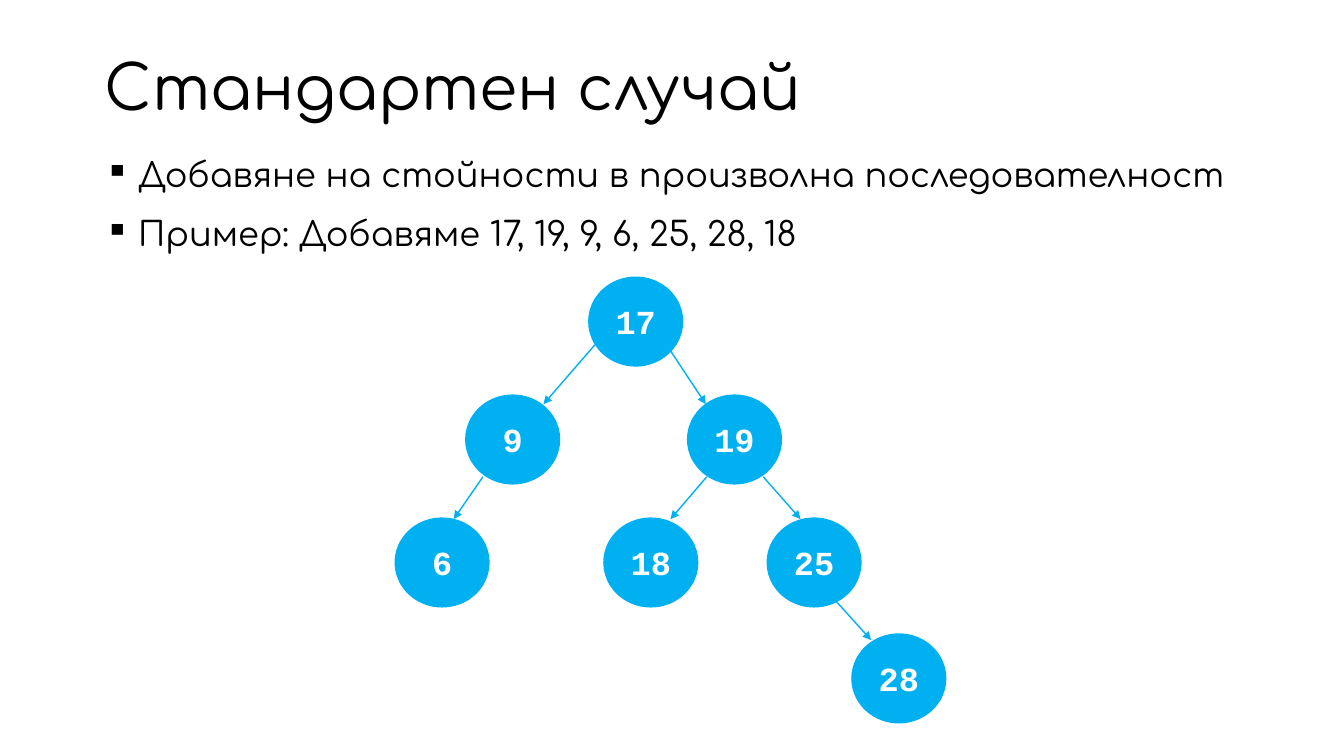
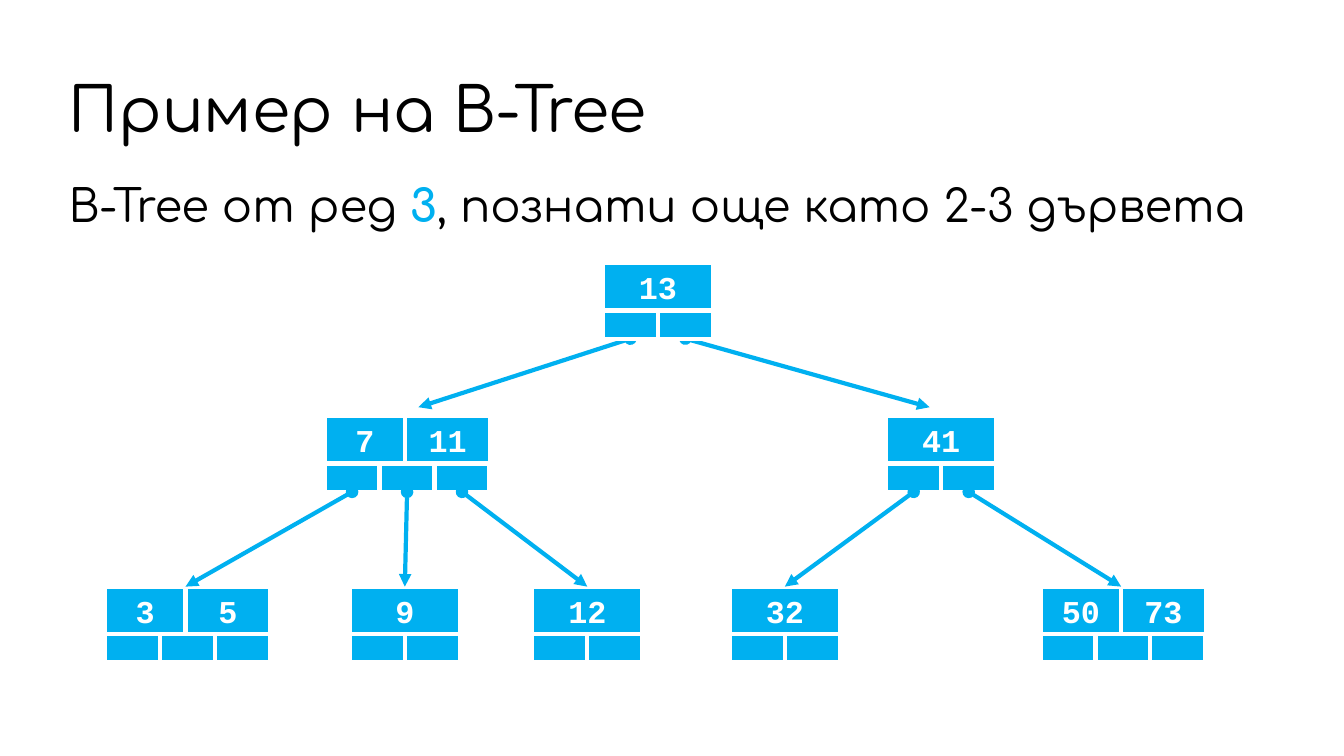
from lxml import etree
from pptx import Presentation
from pptx.dml.color import RGBColor
from pptx.enum import shapes, text
from pptx.oxml.ns import qn
from pptx.util import Inches, Pt

# Shared style
BLUE, BLACK, WHITE = "00B0F0", "000000", "FFFFFF"
HEADING_FONT, KEY_FONT = "Comfortaa", "Courier New"
MIDDLE, TOP = text.MSO_ANCHOR.MIDDLE, text.MSO_ANCHOR.TOP

# Binary search tree: value -> left, top of its circle
CIRCLE_SIZE = (0.93, 0.88)
CIRCLES = {
    "17": (5.84, 2.75),
    "9": (4.62, 3.92), "19": (6.82, 3.92),
    "6": (3.92, 5.14), "18": (5.99, 5.14), "25": (7.61, 5.14),
    "28": (8.45, 6.29),
}
CIRCLE_ARROWS = [
    ((5.91, 3.41), (5.39, 4.01)), ((6.65, 3.48), (7, 4.01)),
    ((4.79, 4.73), (4.5, 5.15)), ((7.01, 4.73), (6.65, 5.15)),
    ((7.57, 4.73), (7.94, 5.15)), ((8.27, 5.94), (8.64, 6.35)),
]
BULLETS = [
    "Добавяне на стойности в произволна последователност",
    "Пример: Добавяме 17, 19, 9, 6, 25, 28, 18",
]

# B-tree: top of each level, then left edge and keys of its nodes
KEY_HEIGHT, POINTER_HEIGHT, POINTER_WIDTH = 0.47, 0.28, 1.09 / 2
KEY_WIDTHS = {1: [1.09], 2: [0.8, 0.84]}
LEVELS = [
    (2.61, [(5.98, ["13"])]),
    (4.13, [(3.22, ["7", "11"]), (8.79, ["41"])]),
    (5.82, [(1.04, ["3", "5"]), (3.47, ["9"]), (5.28, ["12"]),
            (7.24, ["32"]), (10.32, ["50", "73"])]),
]
# First key of the parent -> first key of the child under each pointer
CHILDREN = {"13": ["7", "41"], "7": ["3", "9", "12"], "41": ["32", "50"]}
# Arrows that stop short of the child
FREE_ENDS = {"7": (4.15, 4.04), "41": (9.22, 4.04)}


def color(value):
    return RGBColor.from_string(value)


def apply(target, values):
    for name, value in values.items():
        setattr(target, name, value)


def add_run(paragraph, words, size, font=HEADING_FONT, fill=BLACK, bold=False):
    run = paragraph.add_run()
    run.text = words
    apply(run.font, {"name": font, "size": Pt(size), "bold": bold})
    run.font.color.rgb = color(fill)


def add_text(slide, box, anchor=TOP):
    shape = slide.shapes.add_textbox(*map(Inches, box))
    apply(shape.text_frame, {
        "word_wrap": True, "vertical_anchor": anchor,
        "margin_left": Inches(0.12), "margin_right": Inches(0.12),
        "margin_top": Inches(0.04), "margin_bottom": Inches(0.04)})
    return shape.text_frame


def add_title(slide, words, box):
    paragraph = add_text(slide, box, MIDDLE).paragraphs[0]
    paragraph.line_spacing = 0.9
    add_run(paragraph, words, 44)


def add_bullet(paragraph):
    properties = paragraph._p.get_or_add_pPr()
    apply_indent = {"marL": Inches(0.33), "indent": -Inches(0.33)}
    for name, value in apply_indent.items():
        properties.set(name, str(int(value)))
    etree.SubElement(properties, qn("a:buChar")).set("char", "▪")


def add_cell(slide, kind, box, outline, width, words="", size=24):
    shape = slide.shapes.add_shape(kind, *map(Inches, box))
    shape.shadow.inherit = False
    shape.fill.solid()
    shape.fill.fore_color.rgb = color(BLUE)
    shape.line.color.rgb = color(outline)
    shape.line.width = Pt(width)
    if words:
        shape.text_frame.vertical_anchor = MIDDLE
        paragraph = shape.text_frame.paragraphs[0]
        paragraph.alignment = text.PP_ALIGN.CENTER
        add_run(paragraph, words, size, KEY_FONT, WHITE, True)
    return shape


def add_arrow(slide, start, end, width, head=None):
    connector = slide.shapes.add_connector(
        shapes.MSO_CONNECTOR.STRAIGHT, *map(Inches, (*start, *end)))
    connector.line.color.rgb = color(BLUE)
    connector.line.width = Pt(width)
    line = connector.line._get_or_add_ln()
    if head:
        etree.SubElement(line, qn("a:headEnd")).set("type", head)
    etree.SubElement(line, qn("a:tailEnd")).set("type", "triangle")
    etree.SubElement(connector._element.spPr, qn("a:effectLst"))
    return connector


def build_search_tree(slide):
    add_title(slide, "Стандартен случай", (0.92, 0.29, 11.96, 1.21))
    frame = add_text(slide, (0.92, 1.47, 11.46, 1.21))
    for index, words in enumerate(BULLETS):
        paragraph = frame.add_paragraph() if index else frame.paragraphs[0]
        paragraph.line_spacing = 1.05
        if index:
            paragraph.space_before = Pt(12)
        add_bullet(paragraph)
        add_run(paragraph, words, 24)
    for value, corner in CIRCLES.items():
        add_cell(slide, shapes.MSO_SHAPE.OVAL, (*corner, *CIRCLE_SIZE), BLUE, 1, value)
    for start, end in CIRCLE_ARROWS:
        add_arrow(slide, start, end, 1)


def add_node(slide, left, top, keys):
    """Draw one row of keys over one row of pointers."""
    rectangle = shapes.MSO_SHAPE.RECTANGLE
    key_left, key_cells = left, []
    for key, width in zip(keys, KEY_WIDTHS[len(keys)]):
        box = (key_left, top, width, KEY_HEIGHT)
        key_cells.append(add_cell(slide, rectangle, box, WHITE, 3, key, 22.7))
        key_left += width
    pointers = [
        add_cell(slide, rectangle,
                 (left + index * POINTER_WIDTH, top + KEY_HEIGHT,
                  POINTER_WIDTH, POINTER_HEIGHT), WHITE, 3)
        for index in range(len(keys) + 1)]
    return key_cells, pointers


def build_b_tree(slide):
    add_title(slide, "Пример на B-Tree", (0.56, 0.51, 10.48, 1.21))
    paragraph = add_text(slide, (0.56, 1.72, 12.36, 0.83)).paragraphs[0]
    add_run(paragraph, "B-Tree от ред ", 32)
    add_run(paragraph, "3", 32, fill=BLUE, bold=True)
    add_run(paragraph, ", познати още като 2-3 дървета", 32)

    nodes = {keys[0]: add_node(slide, left, top, keys)
             for top, row in LEVELS for left, keys in row}
    for parent, children in CHILDREN.items():
        for pointer, child in zip(nodes[parent][1], children):
            key_cells = nodes[child][0]
            # Two-key nodes are entered at the seam between the keys
            seam = (key_cells[-1].left.inches, key_cells[-1].top.inches)
            end = FREE_ENDS.get(child, seam)
            connector = add_arrow(slide, (0, 0), end, 3, "oval")
            connector.begin_connect(pointer, 2)
            if child in FREE_ENDS:
                # These arrows start behind the root
                slide.shapes._spTree.insert(2, connector._element)
            elif len(key_cells) == 1:
                connector.end_connect(key_cells[0], 0)


def main():
    presentation = Presentation()
    presentation.slide_width = Inches(13.33)
    presentation.slide_height = Inches(7.5)
    for build in (build_search_tree, build_b_tree):
        build(presentation.slides.add_slide(presentation.slide_layouts[6]))
    presentation.save("out.pptx")


if __name__ == "__main__":
    main()
